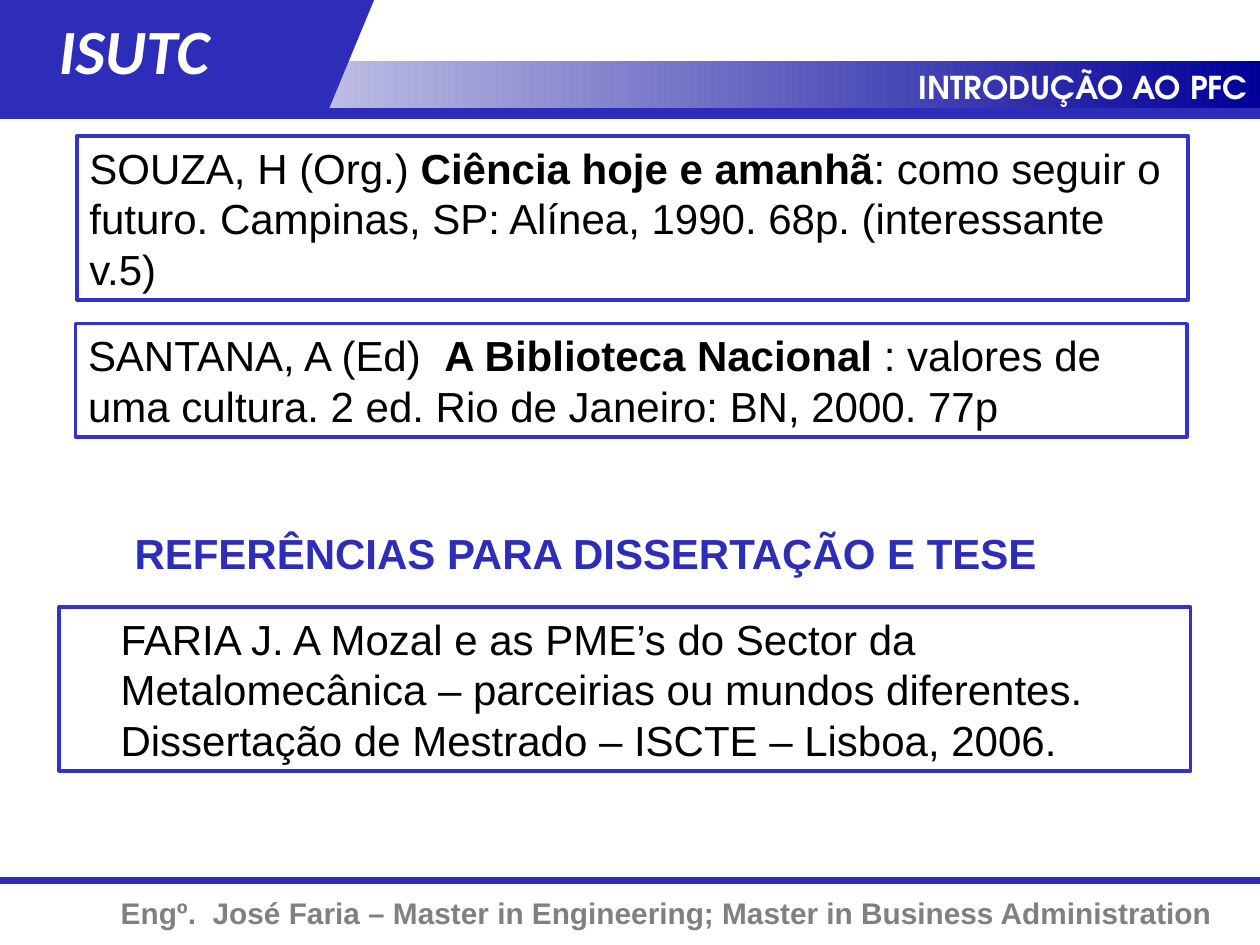
from lxml import etree
from pptx import Presentation
from pptx.dml.color import RGBColor
from pptx.enum import shapes, text
from pptx.oxml import ns
from pptx.util import Pt

COLORS = {"brand": "2D2DB9", "border": "3333CC", "navy": "000099",
          "white": "FFFFFF", "black": "000000", "gray": "808080"}

SOUZA = [("SOUZA, H (Org.) ", False), ("Ciência hoje e amanhã", True),
         (": como seguir o futuro. Campinas, SP: Alínea, 1990. 68p. (interessante v.5)", False)]
SANTANA = [("SANTANA, A (Ed)  ", False), ("A Biblioteca Nacional ", True),
           (": valores de uma cultura. 2 ed. Rio de Janeiro: BN, 2000. 77p", False)]
FARIA = [("FARIA J. A Mozal e as PME’s do Sector da Metalomecânica – parceirias ou "
          "mundos diferentes. Dissertação de Mestrado – ISCTE – Lisboa, 2006.", False)]


def rgb(name):
    """Return the named colour."""
    return RGBColor.from_string(COLORS[name])


def write(holder, runs, size=24, font="Arial", color="black", italic=False,
          align=text.PP_ALIGN.LEFT, indent=0):
    """Write (wording, bold) runs as one paragraph in a shape."""
    frame = holder.text_frame
    frame.word_wrap = True
    frame.auto_size = text.MSO_AUTO_SIZE.SHAPE_TO_FIT_TEXT
    frame.vertical_anchor = text.MSO_ANCHOR.TOP
    paragraph = frame.paragraphs[0]
    paragraph.alignment = align
    if indent:
        properties = paragraph._p.get_or_add_pPr()
        properties.set("marL", str(Pt(indent)))
        properties.set("indent", "0")
    for wording, bold in runs:
        run = paragraph.add_run()
        run.text = wording
        run.font.size, run.font.name = Pt(size), font
        run.font.bold, run.font.italic = bold, italic
        run.font.color.rgb = rgb(color)


def add_label(slide, box, wording, **style):
    """Add a bold text box."""
    label = slide.shapes.add_textbox(*map(Pt, box))
    write(label, [(wording, True)], **style)


def add_block(slide, box, fill, kind=shapes.MSO_SHAPE.RECTANGLE, border=None):
    """Add a flat shape, with a border if a colour is given."""
    block = slide.shapes.add_shape(kind, *map(Pt, box))
    block.shadow.inherit = False
    block.fill.solid()
    block.fill.fore_color.rgb = rgb(fill)
    if border:
        block.line.color.rgb = rgb(border)
        block.line.width = Pt(2)
    else:
        block.line.fill.background()
    return block


def add_rule(slide, left, top, width, weight):
    """Add a horizontal rule."""
    rule = slide.shapes.add_connector(shapes.MSO_CONNECTOR.STRAIGHT,
                                      Pt(left), Pt(top), Pt(left + width), Pt(top))
    rule.line.color.rgb = rgb("brand")
    rule.line.width = Pt(weight)
    etree.SubElement(rule._element.spPr, ns.qn("a:effectLst"))


def add_header(slide, left, top, width, height):
    """Add the slanted brand block and the gradient title band."""
    band = add_block(slide, (left, top + 34.6, width, height - 34.6), "white")
    band.fill.gradient()
    band.fill.gradient_angle = 0
    for stop, color in zip(band.fill.gradient_stops, ("white", "navy")):
        stop.color.rgb = rgb(color)
    add_block(slide, (left + 84.2, top, 129.6, height), "brand",
              shapes.MSO_SHAPE.FLOWCHART_DATA)
    add_block(slide, (left, top, 114.5, height), "brand")
    add_label(slide, (left + width - 406, top + 35.3, 406, 28.8), "INTRODUÇÃO AO PFC",
              size=18, font="TeX Gyre Adventor", color="white", align=text.PP_ALIGN.RIGHT)
    add_label(slide, (left + 26.6, top + 2.9, 139, 50.4), "ISUTC",
              size=36, font="Calibri", color="white", italic=True)
    add_rule(slide, left, top + height + 2.2, width, 6)


def add_footer(slide, left, top, width, height):
    """Add the footer rule and the lecturer's line."""
    add_rule(slide, left, top, width, 4)
    add_label(slide, (left, top + 4.3, width - 20, height),
              "Engº.  José Faria – Master in Engineering; Master in Business Administration",
              size=17, color="gray", align=text.PP_ALIGN.RIGHT)


def add_reference(slide, box, runs, indent=0):
    """Add one bordered bibliographic reference."""
    write(add_block(slide, box, "white", border="border"), runs, indent=indent)


def main():
    """Build and save the slide."""
    deck = Presentation()
    deck.slide_width, deck.slide_height = Pt(720), Pt(540)
    slide = deck.slides.add_slide(deck.slide_layouts[6])
    add_footer(slide, 0, 503.3, 720, 28)
    add_header(slide, 0, 0, 720, 62.6)
    add_reference(slide, (44, 77.8, 635, 93.6), SOUZA)
    add_reference(slide, (43.2, 185, 635, 64.8), SANTANA)
    add_label(slide, (69.8, 298.1, 608.4, 36), "REFERÊNCIAS PARA DISSERTAÇÃO E TESE",
              color="brand")
    add_reference(slide, (33.8, 347, 646.6, 93.6), FARIA, indent=28)
    deck.save("out.pptx")


if __name__ == "__main__":
    main()
